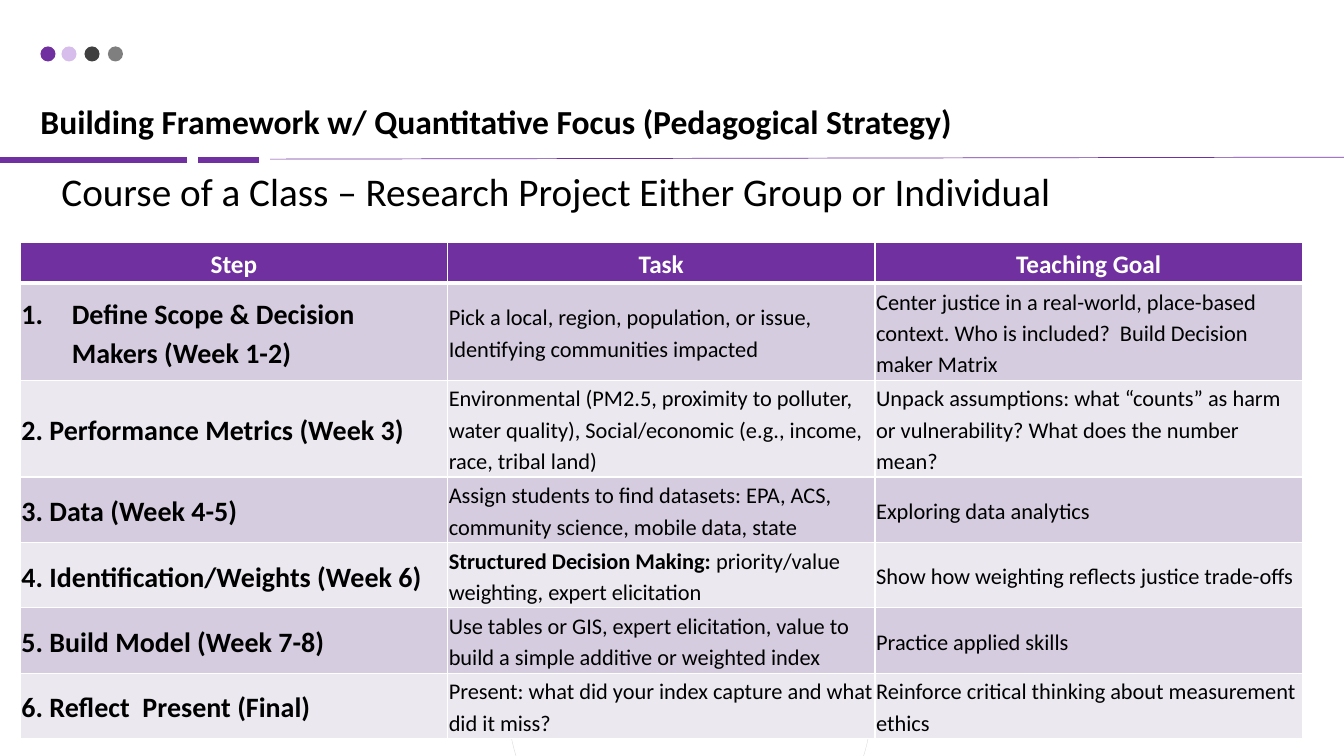
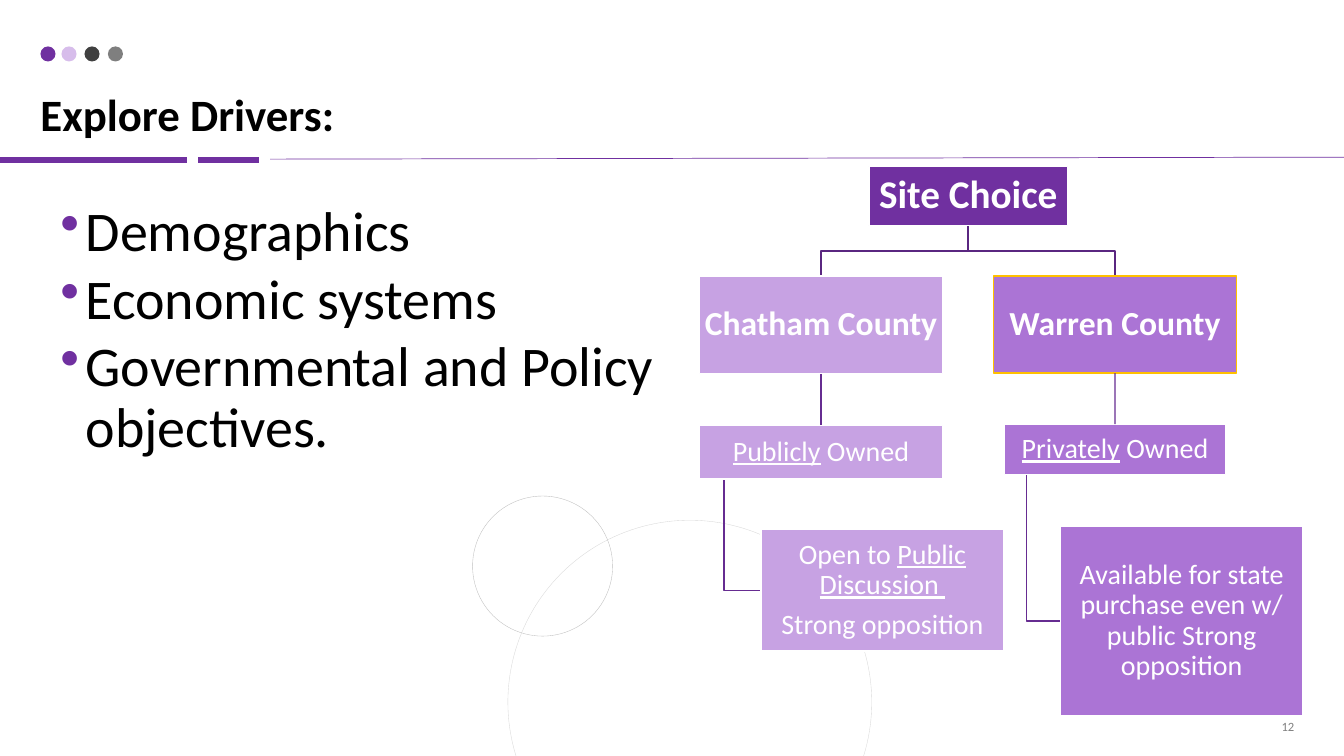
"""Build two teaching slides: a course plan table and a site choice tree."""
from dataclasses import dataclass
from typing import NamedTuple

from lxml import etree
from pptx import Presentation
from pptx import util as u
from pptx.dml.color import RGBColor
from pptx.enum import shapes, text
from pptx.oxml.ns import qn

FONT = "Calibri"
COLORS = {
    "purple": "7030A0", "lilac": "C7A2E3", "orchid": "AB74D5", "gold": "FFC000",
    "branch": "5A2680", "twig": "662C91", "black": "000000", "white": "FFFFFF",
    "dark": "404040", "gray": "7F7F7F", "ring": "BFBFBF", "pale_ring": "D9D9D9",
    "band_odd": "D5CDDF", "band_even": "EBE8F0",
}
LEFT = text.PP_ALIGN.LEFT
CENTER = text.PP_ALIGN.CENTER
RIGHT = text.PP_ALIGN.RIGHT
MIDDLE = text.MSO_ANCHOR.MIDDLE


class Run(NamedTuple):
    text: str
    bold: bool = False
    underline: bool = False


class Rect(NamedTuple):
    x: float
    y: float
    w: float
    h: float


class Rule(NamedTuple):
    x1: float
    y1: float
    x2: float
    y2: float
    weight: float


class Ring(NamedTuple):
    x: float
    y: float
    size: float
    color: str


@dataclass(frozen=True)
class Style:
    size: float
    color: str = "black"
    align: text.PP_ALIGN = LEFT
    line: float = 1.0
    before: float = 0
    after: float = 0


@dataclass(frozen=True)
class Node:
    name: str
    rect: Rect
    paras: list
    size: float
    fill: str
    line: str = "white"


RULES = [Rule(0, 4.04, 4.7, 4.04, 4.5), Rule(5, 4.04, 6.53, 4.04, 4.5),
         Rule(6.81, 4.01, 33.87, 3.96, 0.5)]
DOTS = [(1.02, "purple"), (1.55, "lilac"), (2.13, "dark"), (2.72, "gray")]
RINGS = [Ring(12.8, 13.11, 9.17, "pale_ring"), Ring(11.91, 12.5, 3.53, "ring")]

HEADERS = ["Step", "Task", "Teaching Goal"]
STEPS = [
    ("Define Scope & Decision Makers (Week 1-2)",
     [Run("Pick a local, region, population, or issue, Identifying communities impacted")],
     "Center justice in a real-world, place-based context. Who is included?  "
     "Build Decision maker Matrix"),
    ("2. Performance Metrics (Week 3)",
     [Run("Environmental (PM2.5, proximity to polluter, water quality), "
          "Social/economic (e.g., income, race, tribal land)")],
     "Unpack assumptions: what “counts” as harm or vulnerability? "
     "What does the number mean?"),
    ("3. Data (Week 4-5)",
     [Run("Assign students to find datasets: EPA, ACS, community science, "
          "mobile data, state")],
     "Exploring data analytics"),
    ("4. Identification/Weights (Week 6)",
     [Run("Structured Decision Making:", bold=True),
      Run(" priority/value weighting, expert elicitation")],
     "Show how weighting reflects justice trade-offs"),
    ("5. Build Model (Week 7-8)",
     [Run("Use tables or GIS, expert elicitation, value to build a simple "
          "additive or weighted index")],
     "Practice applied skills"),
    ("6. Reflect  Present (Final)",
     [Run("Present: what did your index capture and what did it miss?")],
     "Reinforce critical thinking about measurement ethics"),
]
ROW_HEIGHTS = [1.04, 2.42, 2.42, 1.64, 1.64, 1.64, 1.64]

DRIVERS = ["Demographics", "Economic systems", "Governmental and Policy objectives."]
NODES = [
    Node("site", Rect(21.9, 4.19, 5, 1.5), [[Run("Site Choice", True)]], 28, "purple"),
    Node("chatham", Rect(17.63, 6.96, 6.12, 2.46), [[Run("Chatham County", True)]],
         24, "lilac"),
    Node("public", Rect(17.63, 10.72, 6.12, 1.35),
         [[Run("Publicly", underline=True), Run(" Owned")]], 20, "lilac"),
    Node("discussion", Rect(19.18, 13.34, 6.12, 3.07),
         [[Run("Open to "), Run("Public Discussion ", underline=True)],
          [Run("Strong opposition")]], 20, "lilac"),
    Node("warren", Rect(25.04, 6.96, 6.12, 2.44), [[Run("Warren County", True)]],
         24, "orchid", "gold"),
    Node("private", Rect(25.32, 10.69, 5.56, 1.27),
         [[Run("Privately", underline=True), Run(" Owned")]], 20, "orchid"),
    Node("purchase", Rect(26.72, 13.26, 6.12, 4.78),
         [[Run("Available for state purchase even w/ public Strong opposition")]],
         20, "orchid"),
]
BRANCHES = [("site", "chatham"), ("site", "warren")]
STEMS = [("chatham", "public"), ("warren", "private")]
HANGERS = [("public", "discussion"), ("private", "purchase")]


def rgb(name: str) -> RGBColor:
    return RGBColor.from_string(COLORS[name])


def cm(values) -> list:
    return [u.Cm(v) for v in values]


def set_line(line, color: str, weight: float) -> None:
    line.color.rgb = rgb(color)
    line.width = u.Pt(weight)


def write(tf, paras: list, style: Style) -> None:
    tf.word_wrap = True
    for i, runs in enumerate(paras):
        p = tf.add_paragraph() if i else tf.paragraphs[0]
        p.alignment = style.align
        p.line_spacing = style.line
        p.space_before = u.Pt(style.before if i else 0)
        p.space_after = u.Pt(style.after)
        for run in runs:
            r = p.add_run()
            r.text = run.text
            f = r.font
            f.name, f.size = FONT, u.Pt(style.size)
            f.bold, f.underline = run.bold, run.underline
            f.color.rgb = rgb(style.color)


def set_margins(box, side: float) -> None:
    box.margin_left = box.margin_right = u.Cm(side)
    box.margin_top = box.margin_bottom = u.Cm(side)


def add_text(s, rect: Rect, paras: list, style: Style, anchor=text.MSO_ANCHOR.TOP):
    tf = s.shapes.add_textbox(*cm(rect)).text_frame
    write(tf, paras, style)
    tf.vertical_anchor = anchor
    return tf


def add_bullet(p, tag: str, indent: float, hang: float, color: str = "", **attrs) -> None:
    pPr = p._p.get_or_add_pPr()
    pPr.set("marL", str(u.Cm(indent)))
    pPr.set("indent", str(-u.Cm(hang)))
    if color:
        clr = etree.SubElement(pPr, qn("a:buClr"))
        etree.SubElement(clr, qn("a:srgbClr"), val=COLORS[color])
    etree.SubElement(pPr, qn(tag), **attrs)


def add_line(s, ends: list, color: str, weight: float):
    c = s.shapes.add_connector(shapes.MSO_CONNECTOR.STRAIGHT, *cm(ends))
    set_line(c.line, color, weight)
    etree.SubElement(c._element.spPr, qn("a:effectLst"))
    return c


def add_shape(s, kind, rect: Rect, fill: str = "", line: str = "", weight: float = 1):
    sp = s.shapes.add_shape(kind, *cm(rect))
    sp.shadow.inherit = False
    if fill:
        sp.fill.solid()
        sp.fill.fore_color.rgb = rgb(fill)
    else:
        sp.fill.background()
    if line:
        set_line(sp.line, line, weight)
    else:
        sp.line.fill.background()
    return sp


def add_path(s, points: list, color: str) -> None:
    start, *rest = [tuple(cm(pt)) for pt in points]
    fb = s.shapes.build_freeform(*start)
    fb.add_line_segments(rest, close=False)
    sp = fb.convert_to_shape()
    sp.shadow.inherit = False
    sp.fill.background()
    set_line(sp.line, color, 1)


def add_base(prs):
    s = prs.slides.add_slide(prs.slide_layouts[6])
    for rule in RULES:
        add_line(s, rule[:4], "purple", rule.weight)
    oval = shapes.MSO_SHAPE.OVAL
    for x, color in DOTS:
        sp = add_shape(s, oval, Rect(x, 1.17, 0.38, 0.38), color)
        if color == "lilac":
            clr = sp._element.spPr.find(".//" + qn("a:srgbClr"))
            etree.SubElement(clr, qn("a:alpha"), val="70000")
    for ring in RINGS:
        add_shape(s, oval, Rect(ring.x, ring.y, ring.size, ring.size),
                  line=ring.color, weight=0.25)
    return s


def add_title(s, title: str, size: float, top: float) -> None:
    tf = add_text(s, Rect(1.02, top, 31.85, 3.56 - top), [[Run(title, True)]],
                  Style(size, line=0.9), text.MSO_ANCHOR.BOTTOM)
    set_margins(tf, 0)


def fill_cell(cell, runs: list, style: Style, fill: str, edges: dict) -> None:
    set_margins(cell, 0.03)
    cell.vertical_anchor = MIDDLE
    write(cell.text_frame, [runs], style)
    tcPr = cell._tc.get_or_add_tcPr()
    for side, weight in edges.items():
        ln = etree.SubElement(tcPr, qn("a:ln" + side), w=str(u.Pt(weight)))
        solid = etree.SubElement(ln, qn("a:solidFill"))
        etree.SubElement(solid, qn("a:srgbClr"), val=COLORS["white"])
    cell.fill.solid()
    cell.fill.fore_color.rgb = rgb(fill)


def add_plan(s) -> None:
    frame = s.shapes.add_table(len(STEPS) + 1, len(HEADERS),
                               *cm((0.51, 6.1, 32.31, sum(ROW_HEIGHTS))))
    tbl = frame.table
    tbl.horz_banding = False
    for col in tbl.columns:
        col.width = u.Cm(10.77)
    for row, height in zip(tbl.rows, ROW_HEIGHTS):
        row.height = u.Cm(height)
    head = Style(18, "white", CENTER, 1.15, after=8)
    step_style, body = Style(20, line=1.15, after=8), Style(16, line=1.15, after=8)
    for c, label in enumerate(HEADERS):
        fill_cell(tbl.cell(0, c), [Run(label, True)], head, "purple",
                  {"L": 1, "R": 1, "T": 1, "B": 3})
    for i, (step, task, goal) in enumerate(STEPS, 1):
        fill = "band_odd" if i % 2 else "band_even"
        edges = {"L": 1, "R": 1, "T": 3 if i == 1 else 1, "B": 1}
        columns = [([Run(step, True)], step_style), (task, body), ([Run(goal)], body)]
        for c, (runs, style) in enumerate(columns):
            fill_cell(tbl.cell(i, c), runs, style, fill, edges)
    add_bullet(tbl.cell(1, 0).text_frame.paragraphs[0], "a:buAutoNum", 1.27, 1.27,
               type="arabicPeriod")


def add_tree(s) -> None:
    rects = {n.name: n.rect for n in NODES}
    for parent, child in BRANCHES:
        a, b = rects[parent], rects[child]
        x1, x2, y = a.x + a.w / 2, b.x + b.w / 2, a.y + a.h
        mid = (y + b.y) / 2
        add_path(s, [(x1, y), (x1, mid), (x2, mid), (x2, b.y)], "branch")
    for parent, child in HANGERS:
        a, b = rects[parent], rects[child]
        x, y = a.x + a.w / 10, b.y + b.h / 2
        add_path(s, [(x, a.y + a.h), (x, y), (b.x, y)], "twig")
    boxes = {}
    for n in NODES:
        sp = add_shape(s, shapes.MSO_SHAPE.RECTANGLE, n.rect, n.fill, n.line)
        tf = sp.text_frame
        set_margins(tf, 0.04)
        tf.vertical_anchor = MIDDLE
        write(tf, n.paras, Style(n.size, "white", CENTER, 0.9, after=round(n.size * 0.35)))
        boxes[n.name] = sp
    for parent, child in STEMS:
        c = add_line(s, [0, 0, 1, 1], "twig", 1)
        c.begin_connect(boxes[parent], 2)
        c.end_connect(boxes[child], 0)


def main() -> None:
    prs = Presentation()
    prs.slide_width, prs.slide_height = u.Cm(33.87), u.Cm(19.05)

    s = add_base(prs)
    add_plan(s)
    add_title(s, "Building Framework w/ Quantitative Focus (Pedagogical Strategy)", 24, 1.02)
    add_text(s, Rect(1.3, 4.09, 27.74, 1.45),
             [[Run("Course of a Class – Research Project Either Group or Individual")]],
             Style(28))

    s = add_base(prs)
    add_text(s, Rect(25.25, 17.96, 7.62, 0.69), [[Run("12")]],
             Style(9, "gray", RIGHT), MIDDLE)
    tf = add_text(s, Rect(0, 5, 16.94, 11.96), [[Run(d)] for d in DRIVERS],
                  Style(40, line=0.9, before=5))
    for p in tf.paragraphs:
        add_bullet(p, "a:buChar", 1.91, 0.64, "purple", char="•")
    add_tree(s)
    add_title(s, "Explore Drivers:", 32, 0.69)
    prs.save("out.pptx")


if __name__ == "__main__":
    main()
